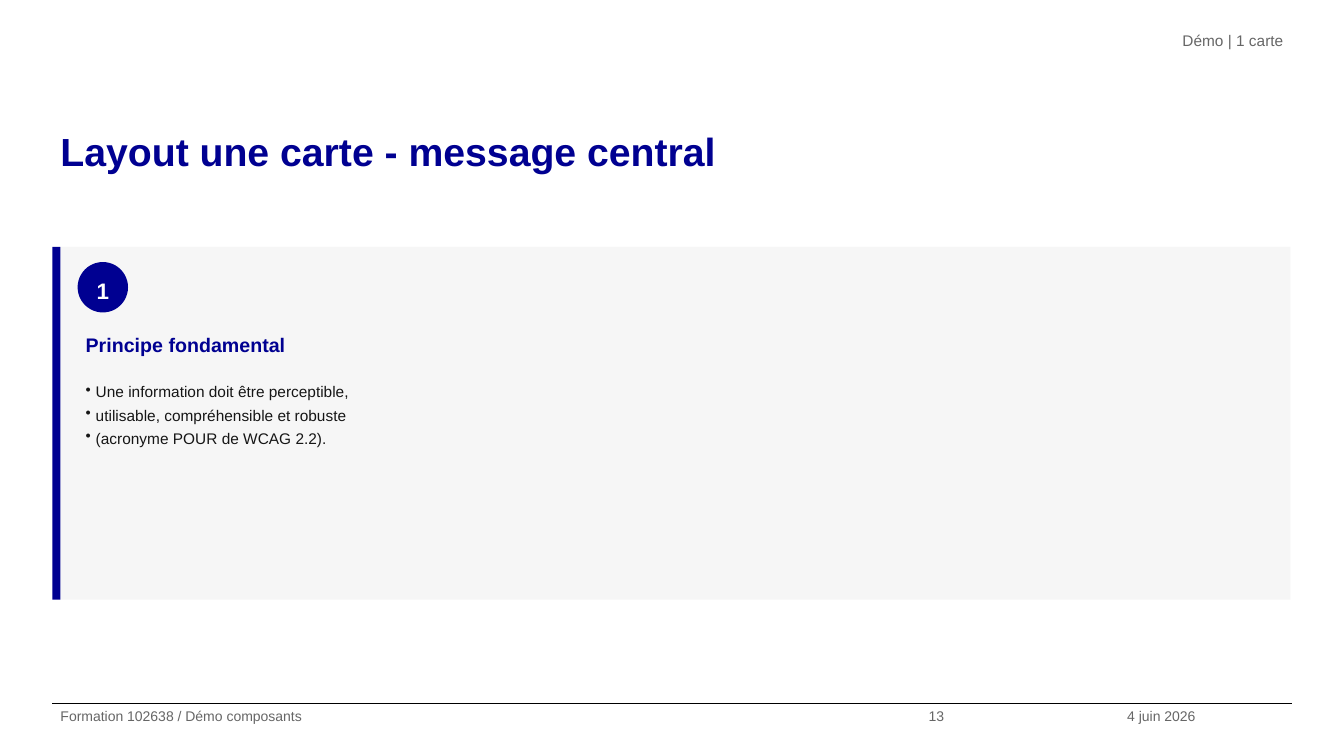
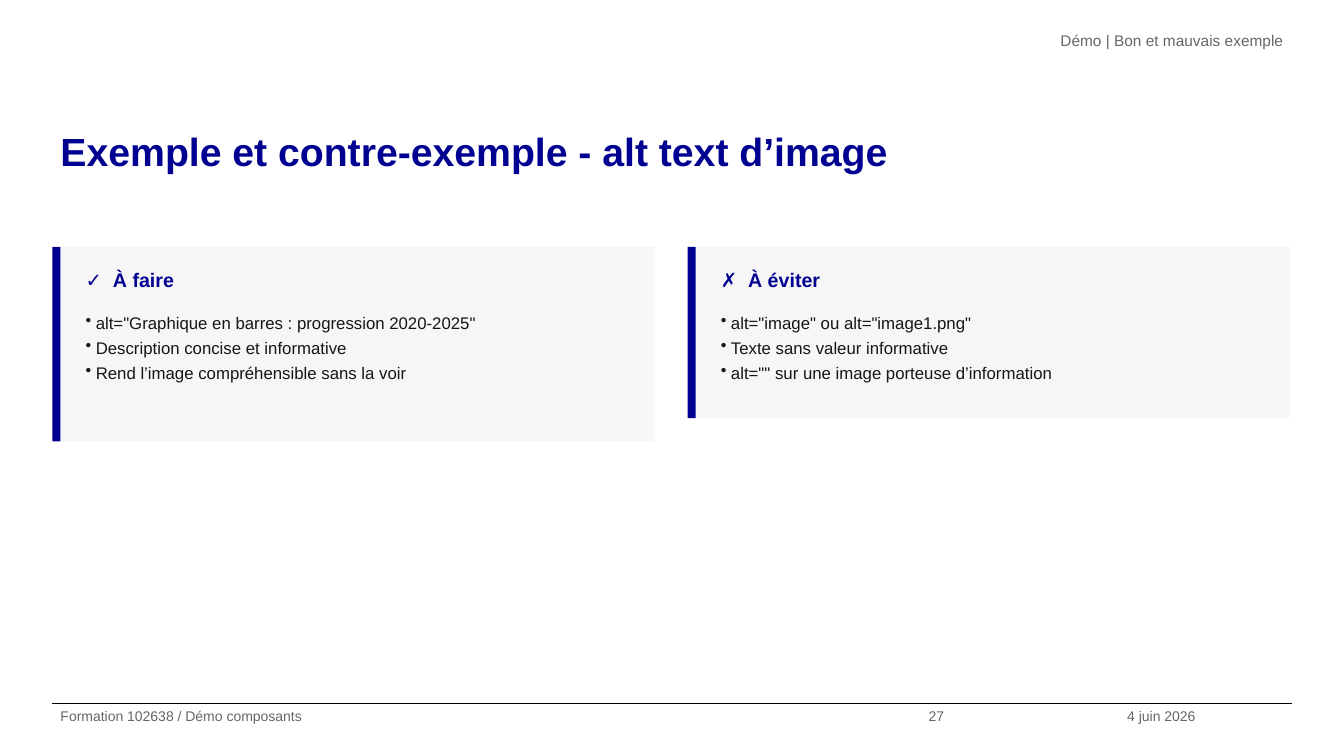
"""Build two training slides made of accented cards."""
from dataclasses import dataclass

from lxml import etree
from pptx import Presentation
from pptx import util as u
from pptx.dml.color import RGBColor
from pptx.enum import shapes, text
from pptx.oxml.ns import qn


@dataclass(frozen=True)
class Theme:
    """Hold the shared colours, type sizes and measures."""
    font: str = "Arial"
    blue: str = "000091"
    panel: str = "F6F6F6"
    ink: str = "161616"
    grey: str = "666666"
    black: str = "000000"
    white: str = "FFFFFF"
    title_size: int = 28
    badge_size: int = 16
    heading_size: int = 14
    header_size: int = 11
    footer_size: int = 10
    leading: float = 1.25
    left: float = 0.52
    right: float = 12.81
    card_top: float = 2.45
    column_step: float = 6.3
    accent: float = 0.08
    footer_top: float = 6.98


THEME = Theme()


def style(size, color, bold=False):
    """Return the format values of a run."""
    return {"name": THEME.font, "size": u.Pt(size), "bold": bold, "color": color}


def format_span(span, values):
    """Set the font attributes of a run."""
    for name, value in values.items():
        if name == "color":
            span.font.color.rgb = RGBColor.from_string(value)
        else:
            setattr(span.font, name, value)


def add_bullet(para, indent=0.1):
    """Give a paragraph a hanging bullet."""
    properties = para._p.get_or_add_pPr()
    properties.set("marL", str(u.Inches(indent)))
    properties.set("indent", str(-u.Inches(indent)))
    etree.SubElement(properties, qn("a:buChar"), char="•")


def add_tab(para, position=0.27):
    """Give a paragraph a left tab stop."""
    stops = etree.SubElement(para._p.get_or_add_pPr(), qn("a:tabLst"))
    etree.SubElement(stops, qn("a:tab"), pos=str(u.Inches(position)), algn="l")


def write(box, lines, values, align=text.PP_ALIGN.LEFT, anchor=text.MSO_ANCHOR.TOP,
          inset=0, decorate=None):
    """Fill a shape with paragraphs of one style."""
    frame = box.text_frame
    settings = {
        "word_wrap": True, "auto_size": text.MSO_AUTO_SIZE.NONE, "vertical_anchor": anchor,
        "margin_left": u.Inches(0.08), "margin_right": u.Inches(0.08),
        "margin_top": u.Inches(inset), "margin_bottom": u.Inches(inset),
    }
    for name, value in settings.items():
        setattr(frame, name, value)
    for index, line in enumerate(lines):
        para = frame.add_paragraph() if index else frame.paragraphs[0]
        if decorate:
            decorate(para)
        para.alignment = align
        para.line_spacing = THEME.leading
        span = para.add_run()
        span.text = line
        format_span(span, values)


def add_text(page, area, lines, values, **options):
    """Add a text box."""
    box = page.shapes.add_textbox(*map(u.Inches, area))
    write(box, lines, values, **options)


def add_block(page, kind, area, color):
    """Add a plain filled shape."""
    block = page.shapes.add_shape(kind, *map(u.Inches, area))
    block.shadow.inherit = False
    block.fill.solid()
    block.fill.fore_color.rgb = RGBColor.from_string(color)
    block.line.fill.background()
    return block


def add_rule(page):
    """Draw the line above the footer."""
    ends = (THEME.left, THEME.footer_top, THEME.right, THEME.footer_top)
    rule = page.shapes.add_connector(shapes.MSO_CONNECTOR.STRAIGHT, *map(u.Inches, ends))
    rule.line.width = u.Pt(0.8)
    rule.line.color.rgb = RGBColor.from_string(THEME.black)
    etree.SubElement(rule._element.spPr, qn("a:effectLst"))


def add_page(deck, title, header, number):
    """Add a slide with its title, header and footer."""
    page = deck.slides.add_slide(deck.slide_layouts[5])
    heading = page.shapes.title
    places = zip(("left", "top", "width", "height"), (THEME.left, 1.15, 12.28, 1.05))
    for name, value in places:
        setattr(heading, name, u.Inches(value))
    write(heading, [title], style(THEME.title_size, THEME.blue, True))
    add_rule(page)
    add_text(page, (4.83, 0.26, 7.98, 0.52), [header],
             style(THEME.header_size, THEME.grey), align=text.PP_ALIGN.RIGHT)
    footers = (
        (THEME.left, 8.61, "Formation 102638 / Démo composants"),
        (9.13, 1.97, number),
        (11.1, 1.71, "4 juin 2026"),
    )
    for left, width, label in footers:
        add_text(page, (left, THEME.footer_top, width, 0.52), [label],
                 style(THEME.footer_size, THEME.grey))
    return page


def add_badge(page, left, top, label):
    """Add a numbered disc."""
    badge = add_block(page, shapes.MSO_SHAPE.OVAL, (left, top, 0.5, 0.5), THEME.blue)
    write(badge, [label], style(THEME.badge_size, THEME.white, True), inset=0.05,
          align=text.PP_ALIGN.CENTER, anchor=text.MSO_ANCHOR.MIDDLE)


def add_card(page, heading, lines, width, height, size, column=0, badge=None):
    """Add a panel with an accent bar, a heading and bullets."""
    left = THEME.left + column * THEME.column_step
    top = THEME.card_top
    panel_left = left + THEME.accent
    text_left, text_width = left + 0.25, width - 0.3
    heading_top = top + (0.75 if badge else 0.1)
    heading_height = 0.45 if badge else 0.4
    body_top = heading_top + heading_height + 0.05
    rectangle = shapes.MSO_SHAPE.RECTANGLE
    add_block(page, rectangle, (panel_left, top, width, height), THEME.panel)
    add_block(page, rectangle, (left, top, THEME.accent, height), THEME.blue)
    if badge:
        add_badge(page, text_left, top + 0.15, badge)
    add_text(page, (text_left, heading_top, text_width, heading_height), [heading],
             style(THEME.heading_size, THEME.blue, True), inset=0.05, decorate=add_tab)
    add_text(page, (text_left, body_top, text_width, top + height - 0.1 - body_top), lines,
             style(size, THEME.ink), inset=0.05, decorate=add_bullet)


def main():
    """Build and save the deck."""
    deck = Presentation()
    deck.slide_width, deck.slide_height = u.Inches(13.33), u.Inches(7.5)

    page = add_page(deck, "Layout une carte - message central", "Démo | 1 carte", "13")
    add_card(page, "Principe fondamental", [
        "Une information doit être perceptible,",
        "utilisable, compréhensible et robuste",
        "(acronyme POUR de WCAG 2.2).",
    ], width=12.2, height=3.5, size=11, badge="1")

    page = add_page(deck, "Exemple et contre-exemple - alt text d’image",
                    "Démo | Bon et mauvais exemple", "27")
    examples = (
        ("✓\tÀ faire", 1.93, [
            'alt="Graphique en barres : progression 2020-2025"',
            "Description concise et informative",
            "Rend l’image compréhensible sans la voir",
        ]),
        ("✗\tÀ éviter", 1.7, [
            'alt="image" ou alt="image1.png"',
            "Texte sans valeur informative",
            'alt="" sur une image porteuse d’information',
        ]),
    )
    for column, (heading, height, lines) in enumerate(examples):
        add_card(page, heading, lines, width=5.89, height=height, size=12, column=column)

    deck.save("out.pptx")


if __name__ == "__main__":
    main()
